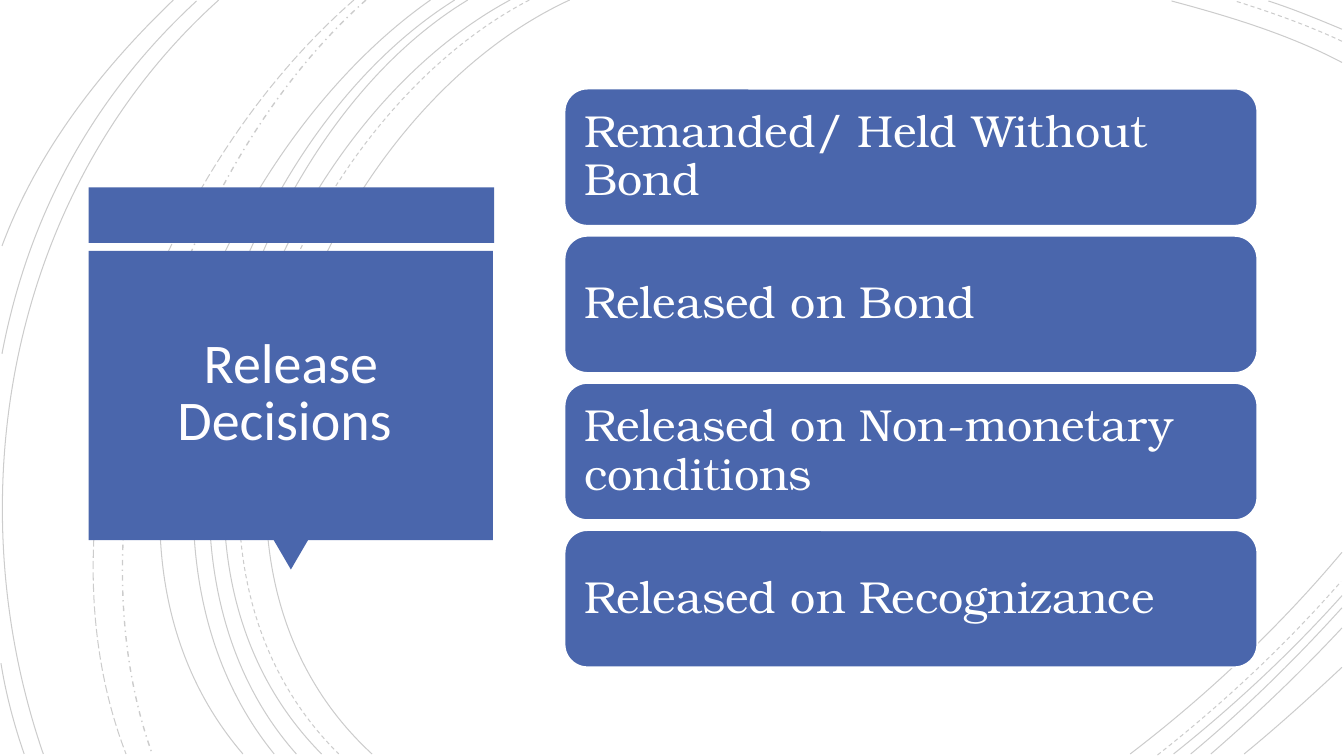
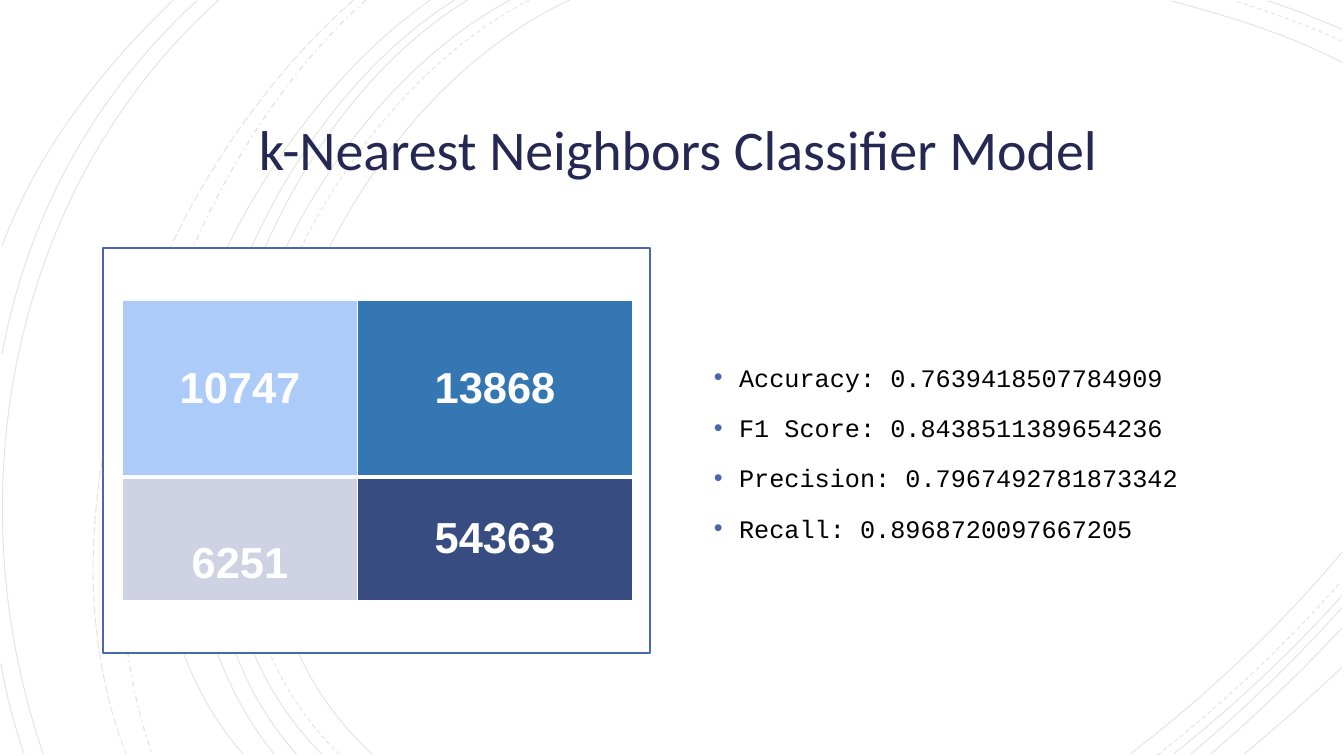
from lxml import etree
from pptx import Presentation
from pptx.dml.color import RGBColor
from pptx.enum.dml import MSO_LINE_DASH_STYLE as DASH
from pptx.enum.shapes import MSO_SHAPE as SHAPE
from pptx.enum.text import MSO_ANCHOR, MSO_AUTO_SIZE, PP_ALIGN
from pptx.oxml.ns import qn
from pptx.util import Inches, Pt

COLORS = {name: RGBColor.from_string(value) for name, value in {
    "white": "FFFFFF", "title_light": "FFFEFF", "black": "000000",
    "blue": "4A66AC", "navy": "242852", "sky": "ACCBF9",
    "steel": "3477B2", "mist": "CED2E2", "indigo": "374C81",
}.items()}

# Background arcs by dash style: start, two control points, end (inches)
ARCS = {
    DASH.SOLID: [
        ((5.65, 0), (3.15, 1.15), (1.43, 5.4), (3.69, 7.48)),
        ((13.31, 0.62), (12.78, 0.34), (12.18, 0.16), (11.62, 0.01)),
        ((11.21, 7.48), (11.97, 6.9), (12.69, 6.22), (13.31, 5.48)),
        ((5.06, 0), (2.7, 1.27), (1.1, 5.37), (3.19, 7.48)),
        ((13.31, 0.29), (13.07, 0.19), (12.83, 0.09), (12.58, 0.01)),
        ((11.64, 7.48), (12.23, 7.01), (12.8, 6.48), (13.31, 5.91)),
        ((4.64, 0), (2.44, 1.33), (1.1, 5.41), (2.94, 7.48)),
        ((11.81, 7.48), (12.34, 7.04), (12.84, 6.55), (13.31, 6.03)),
        ((4.51, 0), (2.31, 1.38), (0.97, 5.33), (2.72, 7.48)),
        ((12.01, 7.48), (12.46, 7.09), (12.9, 6.67), (13.31, 6.23)),
        ((4.27, 0), (2.17, 1.47), (0.53, 5.29), (2.41, 7.48)),
        ((12.34, 7.48), (12.67, 7.21), (12.99, 6.92), (13.31, 6.62)),
        ((2.17, 0), (0.11, 1.85), (-0.46, 4.9), (0.43, 7.48)),
        ((1.95, 0.01), (0.92, 0.96), (0.28, 2.14), (0.02, 3.51)),
        ((0.01, 6.58), (0.06, 6.89), (0.14, 7.19), (0.24, 7.48)),
        ((1.72, 0), (1, 0.69), (0.37, 1.5), (0.02, 2.44)),
    ],
    DASH.DASH: [
        ((5.25, 0), (2.85, 1.25), (1.23, 5.37), (3.36, 7.48)),
        ((13.31, 0.41), (12.97, 0.25), (12.6, 0.12), (12.25, 0.01)),
        ((11.48, 7.49), (12.13, 6.98), (12.75, 6.4), (13.3, 5.77)),
    ],
    DASH.DASH_DOT: [((3.63, 0), (1.76, 1.66), (0.65, 5.09), (1.51, 7.48))],
    DASH.LONG_DASH: [((3.51, 0), (1.57, 1.69), (0.29, 4.99), (1.25, 7.48))],
}


def draw_arcs(page, opacity):
    """Draw the background arcs in black at the given opacity in percent."""
    for dash, arcs in ARCS.items():
        for arc in arcs:
            points = [(Inches(x), Inches(y)) for x, y in arc]
            builder = page.shapes.build_freeform(*points[0])
            builder.add_line_segments(points[1:], close=False)
            curve = builder.convert_to_shape()
            # Join the three segments into one cubic curve
            outline = next(curve._element.iter(qn("a:path")))
            bezier = etree.SubElement(outline, qn("a:cubicBezTo"))
            for segment in outline.findall(qn("a:lnTo")):
                bezier.append(segment[0])
                outline.remove(segment)
            curve.shadow.inherit = False
            curve.fill.background()
            curve.line.color.rgb = COLORS["black"]
            curve.line.width = Pt(1 if dash == DASH.DASH_DOT else 0.75)
            curve.line.dash_style = dash
            for color in curve.line._ln.iter(qn("a:srgbClr")):
                etree.SubElement(color, qn("a:alpha")).set("val", str(opacity * 1000))


def style_text(frame, font, size, color, align, spacing, margins):
    """Format a text frame; margins are horizontal and vertical, in inches."""
    frame.word_wrap = True
    frame.auto_size = MSO_AUTO_SIZE.NONE
    frame.vertical_anchor = MSO_ANCHOR.MIDDLE
    frame.margin_left = frame.margin_right = Inches(margins[0])
    frame.margin_top = frame.margin_bottom = Inches(margins[1])
    for para in frame.paragraphs:
        para.alignment = align
        para.line_spacing = spacing
        for span in para.runs:
            span.font.name = font
            span.font.size = Pt(size)
            span.font.color.rgb = COLORS[color]


deck = Presentation()
deck.slide_width, deck.slide_height = Inches(13.33), Inches(7.5)
decisions = deck.slides.add_slide(deck.slide_layouts[5])
model = deck.slides.add_slide(deck.slide_layouts[1])

# Slide 2: white backdrop
backdrop = model.shapes.add_shape(SHAPE.RECTANGLE, 0, 0, deck.slide_width, deck.slide_height)
backdrop.shadow.inherit = False
backdrop.fill.solid()
backdrop.fill.fore_color.rgb = COLORS["white"]
backdrop.line.fill.background()

# Both slides: arcs
draw_arcs(decisions, 20)
draw_arcs(model, 10)

# Slide 1: callout behind the title
for preset, area, rotation in [
    (SHAPE.RECTANGLE, (0.88, 1.86, 4.02, 0.55), 0),
    (SHAPE.ISOSCELES_TRIANGLE, (2.71, 5.35, 0.35, 0.3), 180),
    (SHAPE.RECTANGLE, (0.88, 2.49, 4.01, 2.87), 0),
]:
    block = decisions.shapes.add_shape(preset, *map(Inches, area))
    block.rotation = rotation
    block.shadow.inherit = False
    block.fill.solid()
    block.fill.fore_color.rgb = COLORS["blue"]
    block.line.fill.background()

# Both slides: titles, in front of the background
for page, text, color, area in [
    (decisions, "Release Decisions ", "title_light", (0.97, 2.57, 3.83, 2.69)),
    (model, "k-Nearest Neighbors Classifier Model", "navy", (0.99, 0.87, 11.47, 1.3)),
]:
    title = page.shapes.title
    page.shapes._spTree.append(title._element)
    title.left, title.top, title.width, title.height = map(Inches, area)
    title.text_frame.text = text
    style_text(title.text_frame, "Calibri", 40, color, PP_ALIGN.CENTER, 0.85, (0.25, 0.25))

# Slide 1: decision cards
for index, text in enumerate([
    "Remanded/ Held Without Bond",
    "Released on Bond",
    "Released on Non-monetary conditions",
    "Released on Recognizance",
]):
    card = decisions.shapes.add_shape(
        SHAPE.ROUNDED_RECTANGLE, Inches(5.6), Inches(0.88 + 1.46 * index),
        Inches(6.87), Inches(1.36))
    card.shadow.inherit = False
    card.fill.solid()
    card.fill.fore_color.rgb = COLORS["blue"]
    card.line.color.rgb = COLORS["white"]
    card.line.width = Pt(1.25)
    card.text_frame.text = text
    style_text(card.text_frame, "TeX Gyre Bonum", 32, "white", PP_ALIGN.LEFT, 0.9, (0.13, 0.13))

# Slide 2: panel around the confusion matrix
panel = model.shapes.add_shape(
    SHAPE.RECTANGLE, Inches(1.02), Inches(2.46), Inches(5.43), Inches(4.02))
panel.shadow.inherit = False
panel.fill.solid()
panel.fill.fore_color.rgb = COLORS["white"]
panel.line.color.rgb = COLORS["blue"]
panel.line.width = Pt(1.5)

# Slide 2: scores
scores = model.placeholders[1]
model.shapes._spTree.append(scores._element)
scores.left, scores.top, scores.width, scores.height = map(Inches, (6.98, 2.44, 5.5, 4.04))
scores.text_frame.text = "\n".join([
    "Accuracy: 0.7639418507784909",
    "F1 Score: 0.8438511389654236",
    "Precision: 0.7967492781873342",
    "Recall: 0.8968720097667205",
])
for index, para in enumerate(scores.text_frame.paragraphs):
    props = para._p.get_or_add_pPr()
    props.set("marL", str(Inches(0.25)))
    props.set("indent", str(Inches(-0.25)))
    bullet_color = etree.SubElement(props, qn("a:buClr"))
    etree.SubElement(bullet_color, qn("a:srgbClr")).set("val", str(COLORS["blue"]))
    etree.SubElement(props, qn("a:buFont")).set("typeface", "Arial")
    etree.SubElement(props, qn("a:buChar")).set("char", "•")
    para.space_before = Pt(10 if index else 0)
style_text(scores.text_frame, "Courier New", 18, "black", PP_ALIGN.LEFT, 1.2, (0.1, 0.05))

# Slide 2: confusion matrix
MATRIX = [
    [("10747", "sky"), ("13868", "steel")],
    [("6251", "mist"), ("54363", "indigo")],
]
COLUMN_WIDTHS, ROW_HEIGHTS = (2.34, 2.72), (1.75, 1.23)
matrix = model.shapes.add_table(
    2, 2, Inches(1.21), Inches(2.98),
    Inches(sum(COLUMN_WIDTHS)), Inches(sum(ROW_HEIGHTS))).table
matrix.first_row = matrix.horz_banding = False
for column, width in zip(matrix.columns, COLUMN_WIDTHS):
    column.width = Inches(width)
for row, height in zip(matrix.rows, ROW_HEIGHTS):
    row.height = Inches(height)
for r, values in enumerate(MATRIX):
    for c, (text, color) in enumerate(values):
        cell = matrix.cell(r, c)
        props = cell._tc.get_or_add_tcPr()
        for side in "LRTB":
            thick = (r, side) in ((0, "B"), (1, "T"))
            border = etree.SubElement(props, qn("a:ln" + side))
            border.set("w", str(Pt(3 if thick else 1)))
            fill = etree.SubElement(border, qn("a:solidFill"))
            etree.SubElement(fill, qn("a:srgbClr")).set("val", str(COLORS["white"]))
        cell.fill.solid()
        cell.fill.fore_color.rgb = COLORS[color]
        cell.vertical_anchor = MSO_ANCHOR.MIDDLE
        cell.margin_left = cell.margin_right = Inches(0.16)
        # The lower left count sits below the middle of its cell
        cell.margin_top = Inches(0.57 if (r, c) == (1, 0) else 0.08)
        cell.margin_bottom = Inches(0.08)
        cell.text_frame.text = text
        para = cell.text_frame.paragraphs[0]
        para.alignment = PP_ALIGN.CENTER
        span = para.runs[0]
        span.font.name = "Arial"
        span.font.size = Pt(31)
        span.font.bold = True
        span.font.color.rgb = COLORS["white"]

deck.save("out.pptx")
